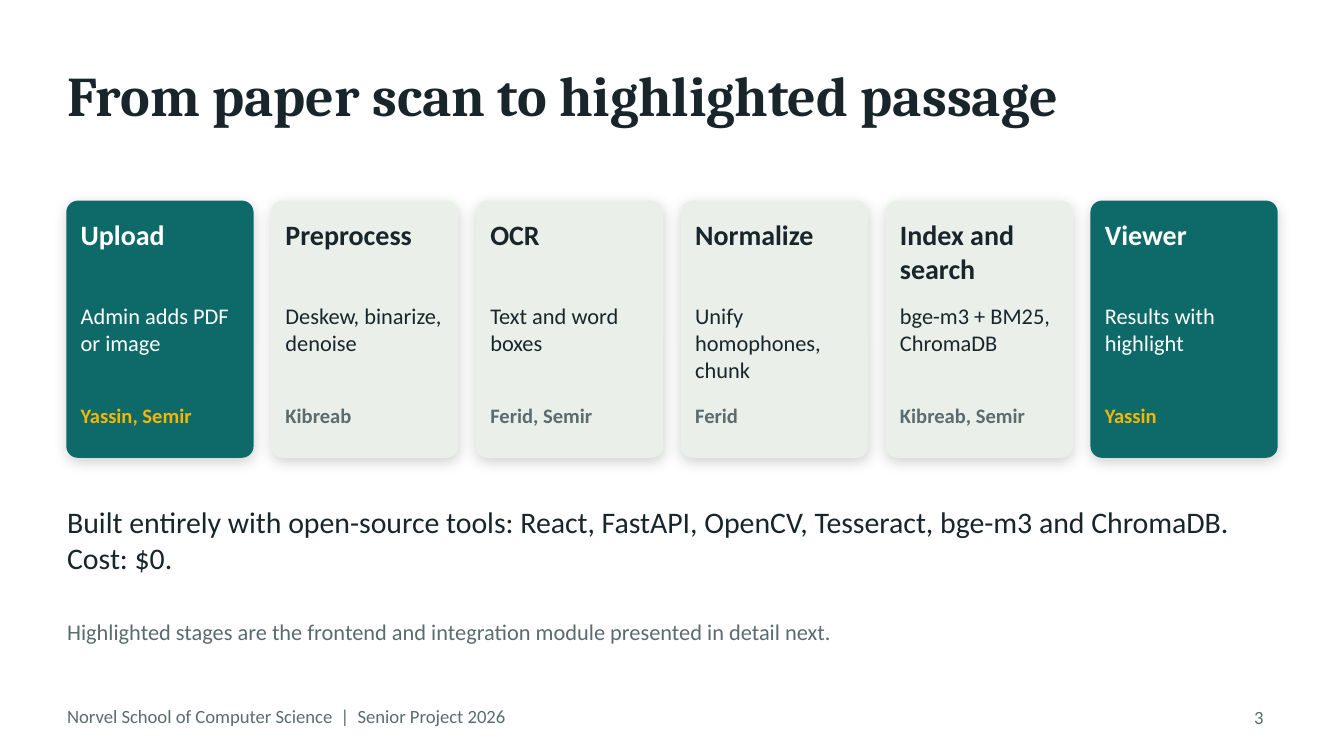
from dataclasses import dataclass

from lxml import etree
from pptx import Presentation
from pptx.dml.color import RGBColor
from pptx.enum.shapes import MSO_SHAPE
from pptx.enum.text import MSO_ANCHOR, PP_ALIGN
from pptx.oxml import parse_xml
from pptx.oxml.ns import nsdecls
from pptx.util import Inches, Pt


@dataclass(frozen=True)
class Theme:
    heading_font: str = "Cambria"
    body_font: str = "Calibri"
    ink: str = "18262B"
    muted: str = "5B6B70"
    teal: str = "0E6A68"
    pale: str = "EAEFEA"
    white: str = "FFFFFF"
    amber: str = "F5B700"
    title: int = 30
    statement: int = 16
    stage: int = 15
    body: int = 12
    owner: int = 11
    footer: int = 10


THEME = Theme()

# Slide grid, in inches
LEFT, CONTENT_W = 0.5, 9
CARD_TOP, CARD_W, CARD_H, CARD_PAD = 1.5, 1.38, 1.9, 0.1

# Stage, what happens, owners, highlighted
STAGES = [
    ("Upload", "Admin adds PDF or image", "Yassin, Semir", True),
    ("Preprocess", "Deskew, binarize, denoise", "Kibreab", False),
    ("OCR", "Text and word boxes", "Ferid, Semir", False),
    ("Normalize", "Unify homophones, chunk", "Ferid", False),
    ("Index and search", "bge-m3 + BM25, ChromaDB", "Kibreab, Semir", False),
    ("Viewer", "Results with highlight", "Yassin", True),
]


def add_text(slide, text, x, y, w, h, size, color, bold=False,
             font=THEME.body_font, anchor=MSO_ANCHOR.TOP,
             align=PP_ALIGN.LEFT, inset=(0, 0)):
    box = slide.shapes.add_textbox(Inches(x), Inches(y), Inches(w), Inches(h))
    frame = box.text_frame
    frame.word_wrap = True
    frame.vertical_anchor = anchor
    frame.margin_left = frame.margin_right = Inches(inset[0])
    frame.margin_top = frame.margin_bottom = Inches(inset[1])
    paragraph = frame.paragraphs[0]
    paragraph.alignment = align
    run = paragraph.add_run()
    run.text = text
    run.font.name = font
    run.font.size = Pt(size)
    run.font.bold = bold
    run.font.color.rgb = RGBColor.from_string(color)


def add_soft_shadow(shape):
    shape.shadow.inherit = False
    effects = shape._element.spPr.find(
        "{http://schemas.openxmlformats.org/drawingml/2006/main}effectLst")
    effects.append(parse_xml(
        f'<a:outerShdw {nsdecls("a")} blurRad="{Pt(8)}" dist="{Pt(2)}" '
        'dir="5400000" algn="bl" rotWithShape="0">'
        '<a:srgbClr val="000000"><a:alpha val="18000"/></a:srgbClr>'
        '</a:outerShdw>'))


def add_stage_card(slide, x, stage, action, owners, highlighted):
    if highlighted:
        fill, text_color, owner_color = THEME.teal, THEME.white, THEME.amber
    else:
        fill, text_color, owner_color = THEME.pale, THEME.ink, THEME.muted

    card = slide.shapes.add_shape(
        MSO_SHAPE.ROUNDED_RECTANGLE, Inches(x), Inches(CARD_TOP),
        Inches(CARD_W), Inches(CARD_H))
    card.adjustments[0] = 0.058
    card.fill.solid()
    card.fill.fore_color.rgb = RGBColor.from_string(fill)
    card.line.color.rgb = RGBColor.from_string(fill)
    card.line.width = Pt(1)
    add_soft_shadow(card)

    text_x, text_w = x + CARD_PAD, CARD_W - 2 * CARD_PAD
    for text, y, h, size, color, bold in (
        (stage, 1.62, 0.6, THEME.stage, text_color, True),
        (action, 2.25, 0.65, THEME.body, text_color, False),
        (owners, 3, 0.3, THEME.owner, owner_color, True),
    ):
        add_text(slide, text, text_x, y, text_w, h, size, color, bold)


def add_footer(slide):
    add_text(slide, "Norvel School of Computer Science  |  Senior Project 2026",
             LEFT, 5.2, 6, 0.25, THEME.footer, THEME.muted,
             anchor=MSO_ANCHOR.MIDDLE)
    add_text(slide, "3", 9, 5.2, 0.5, 0.25, THEME.footer, THEME.muted,
             align=PP_ALIGN.RIGHT, inset=(0.1, 0.05))


def main():
    prs = Presentation()
    prs.slide_width, prs.slide_height = Inches(10), Inches(5.625)
    slide = prs.slides.add_slide(prs.slide_layouts[6])
    slide.background.fill.solid()
    slide.background.fill.fore_color.rgb = RGBColor.from_string(THEME.white)

    # Title
    add_text(slide, "From paper scan to highlighted passage",
             LEFT, 0.3, CONTENT_W, 0.8, THEME.title, THEME.ink, bold=True,
             font=THEME.heading_font, anchor=MSO_ANCHOR.MIDDLE)

    # Pipeline cards, spread evenly over the content width
    pitch = (CONTENT_W - CARD_W) / (len(STAGES) - 1)
    for i, stage in enumerate(STAGES):
        add_stage_card(slide, LEFT + i * pitch, *stage)

    # Statement and note
    add_text(slide, "Built entirely with open-source tools: React, FastAPI, "
             "OpenCV, Tesseract, bge-m3 and ChromaDB. Cost: $0.",
             LEFT, 3.75, CONTENT_W, 0.7, THEME.statement, THEME.ink)
    add_text(slide, "Highlighted stages are the frontend and integration "
             "module presented in detail next.",
             LEFT, 4.6, CONTENT_W, 0.35, THEME.body, THEME.muted)

    add_footer(slide)
    prs.save("out.pptx")


main()
